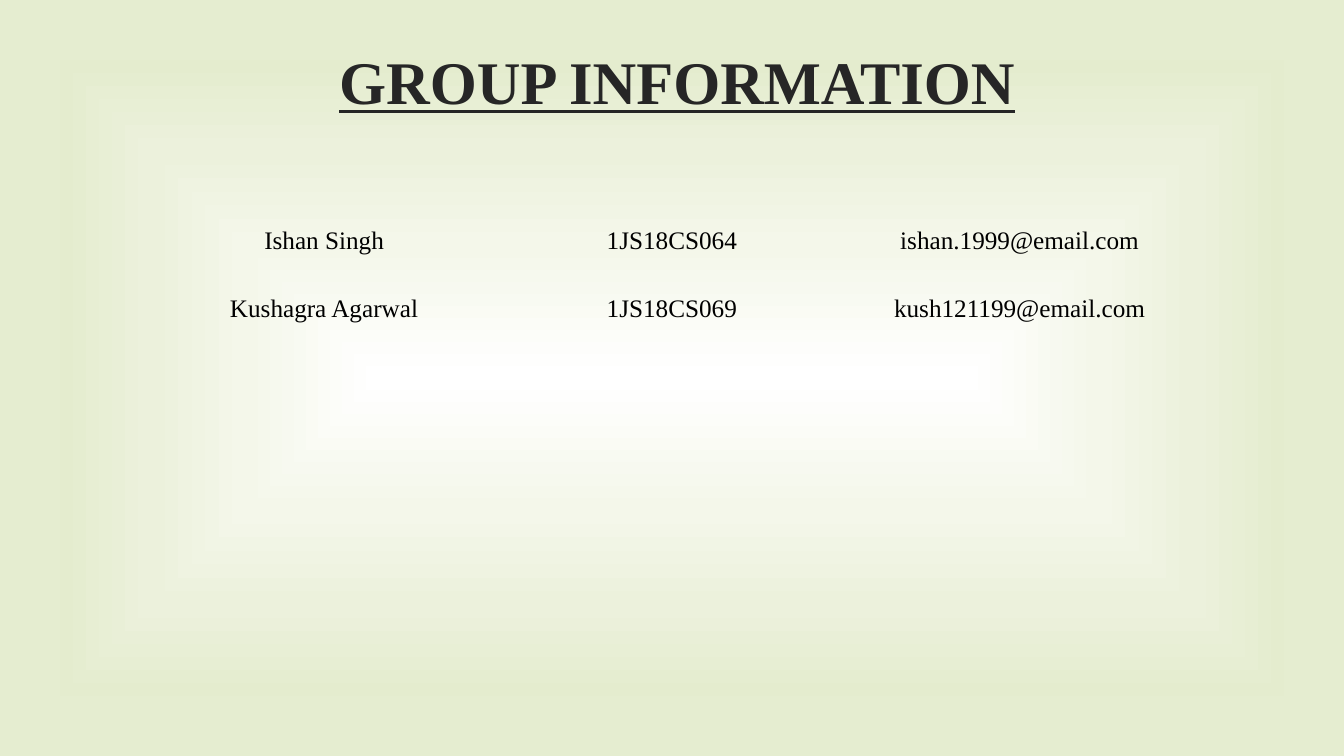
from lxml.etree import SubElement
from pptx import Presentation
from pptx.dml.color import RGBColor
from pptx.enum.text import MSO_ANCHOR, PP_ALIGN
from pptx.oxml.ns import qn
from pptx.util import Pt

FONT = "Times New Roman"
BLACK = RGBColor(0x00, 0x00, 0x00)
CHARCOAL = RGBColor(0x26, 0x26, 0x26)
WHITE = RGBColor(0xFF, 0xFF, 0xFF)
PALE_GREEN = RGBColor(0xF4, 0xF7, 0xEA)
LIGHT_GREEN = RGBColor(0xEC, 0xF1, 0xDC)
SOFT_GREEN = RGBColor(0xE4, 0xEC, 0xCE)
EDGE_GREEN = RGBColor(0xE5, 0xED, 0xD0)

# Position and opacity in percent
GLOW_STOPS = [
    (0, WHITE, 100),
    (35, PALE_GREEN, 100),
    (60, LIGHT_GREEN, 100),
    (84, SOFT_GREEN, 97),
    (100, EDGE_GREEN, 84),
]
NO_STYLE_NO_GRID = "{2D5ABB26-0587-4C30-8999-92F81FD0307C}"
MEMBERS = [
    ("Ishan Singh", "1JS18CS064", "ishan.1999@email.com"),
    ("Kushagra Agarwal", "1JS18CS069", "kush121199@email.com"),
]


def paint_glow(page):
    """Fill the background with a gradient running from the centre to the edges."""
    page.background.fill.gradient()
    gradient = page.element.find(".//" + qn("p:bg")).find(".//" + qn("a:gradFill"))
    for child in list(gradient):
        gradient.remove(child)
    stops = SubElement(gradient, qn("a:gsLst"))
    for position, color, opacity in GLOW_STOPS:
        stop = SubElement(stops, qn("a:gs"), pos=str(position * 1000))
        tint = SubElement(stop, qn("a:srgbClr"), val=str(color))
        if opacity < 100:
            SubElement(tint, qn("a:alpha"), val=str(opacity * 1000))
    shade = SubElement(gradient, qn("a:path"), path="shape")
    SubElement(shade, qn("a:fillToRect"), l="50000", t="50000", r="50000", b="50000")


def write_centred(frame, text, size, color):
    para = frame.paragraphs[0]
    para.alignment = PP_ALIGN.CENTER
    span = para.add_run()
    span.text = text
    span.font.name = FONT
    span.font.size = Pt(size)
    span.font.color.rgb = color
    return span


def add_title(page, text):
    box = page.shapes.add_textbox(Pt(7.2), Pt(23), Pt(953), Pt(64))
    frame = box.text_frame
    frame.word_wrap = True
    frame.vertical_anchor = MSO_ANCHOR.BOTTOM
    span = write_centred(frame, text, 43.2, CHARCOAL)
    span.font.bold = True
    span.font.underline = True


def add_member_table(page, members):
    column_width, row_height = 248.4, 48.2
    rows, columns = len(members), len(members[0])
    table = page.shapes.add_table(
        rows, columns, Pt(107.3), Pt(148.3),
        Pt(column_width * columns), Pt(row_height * rows),
    ).table
    table.first_row = False
    table.horz_banding = False
    page.element.find(".//" + qn("a:tableStyleId")).text = NO_STYLE_NO_GRID
    for row, member in enumerate(members):
        for column, text in enumerate(member):
            cell = table.cell(row, column)
            cell.fill.background()
            cell.vertical_anchor = MSO_ANCHOR.MIDDLE
            write_centred(cell.text_frame, text, 18, BLACK)


def main():
    deck = Presentation()
    deck.slide_width, deck.slide_height = Pt(960), Pt(540)
    page = deck.slides.add_slide(deck.slide_layouts[6])
    paint_glow(page)
    add_title(page, "GROUP INFORMATION")
    add_member_table(page, MEMBERS)
    deck.save("out.pptx")


if __name__ == "__main__":
    main()
